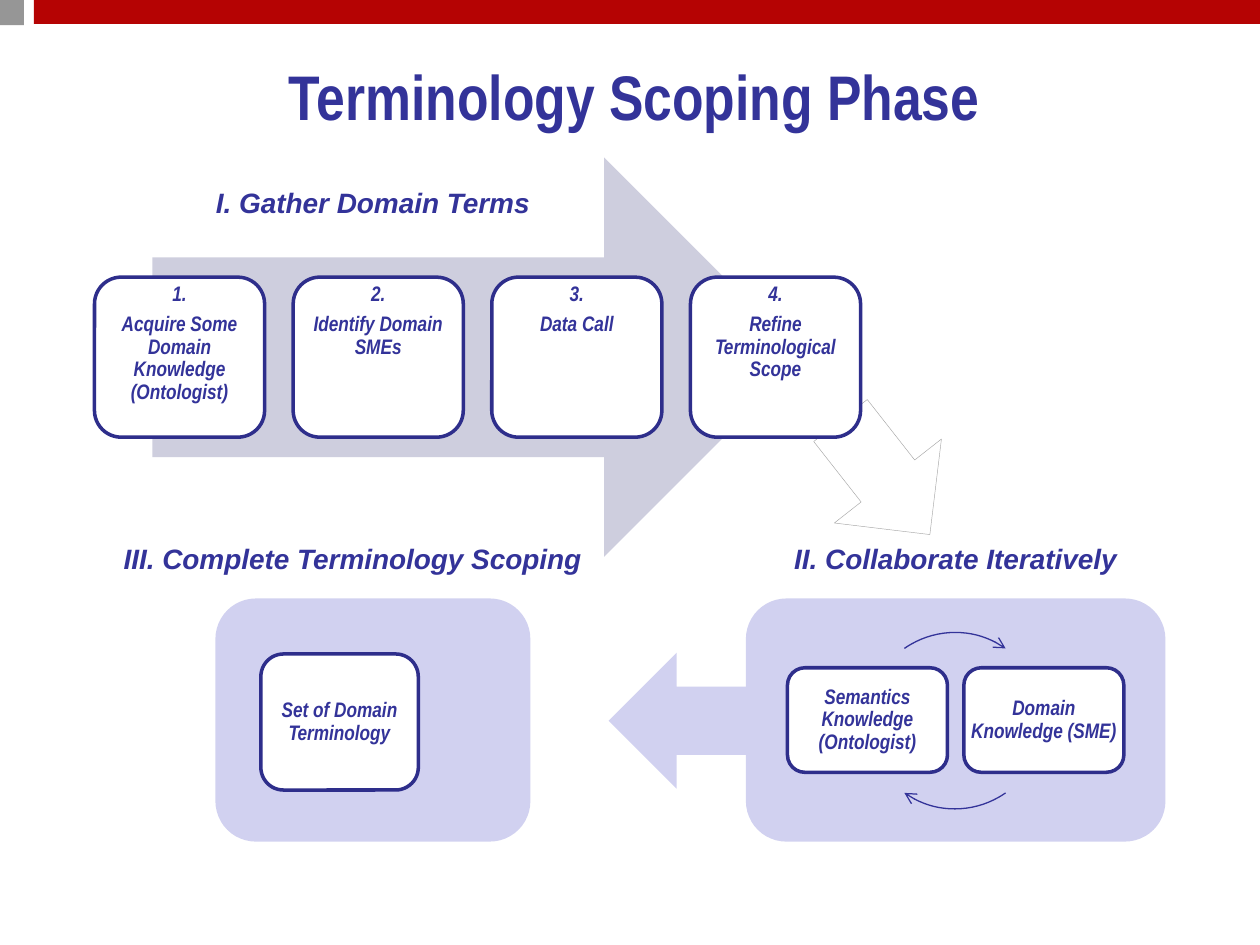
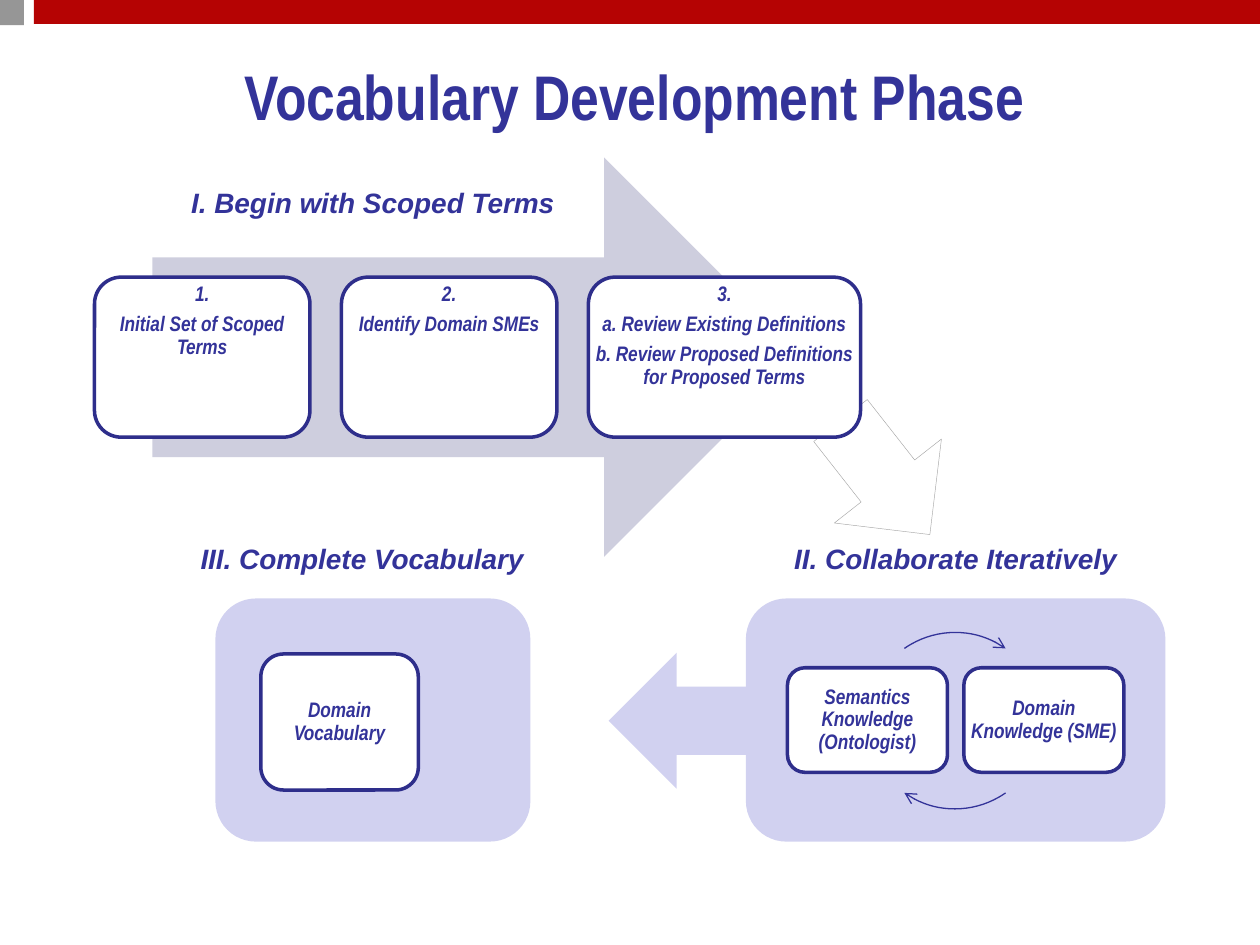
"""Builds two phase slides that share one flow diagram of arrows, panels and boxes."""
from dataclasses import dataclass

from lxml.etree import SubElement
from pptx import Presentation
from pptx.dml.color import RGBColor
from pptx.enum.shapes import MSO_SHAPE
from pptx.enum.text import MSO_ANCHOR, MSO_AUTO_SIZE, PP_ALIGN
from pptx.oxml.ns import qn
from pptx.util import Inches, Pt

COLS, ROWS = 100, 75
WIDTH, HEIGHT = Inches(10), Inches(7.5)
INK, EDGE, WHITE = "333399", "2E2E8B", "FFFFFF"
LAVENDER, MIST, RED, GREY = "D1D1F0", "CECEDE", "B50303", "969696"

TITLE = dict(name="Arial Narrow", size=Pt(36), bold=True, italic=False)
HEADING = dict(name="Arial", size=Pt(16), bold=True, italic=True)
BODY = dict(name="Arial Narrow", size=Pt(12), bold=True, italic=True)
PLAIN_PARA = dict(alignment=PP_ALIGN.CENTER)
BODY_PARA = dict(alignment=PP_ALIGN.CENTER, line_spacing=0.9, space_after=Pt(4.2))
FRAME = dict(word_wrap=True, auto_size=MSO_AUTO_SIZE.NONE)
TIGHT = dict.fromkeys(
    ("margin_left", "margin_top", "margin_right", "margin_bottom"), Inches(0.05))


@dataclass(frozen=True)
class Box:
    """A place on the grid, in columns and rows."""
    col: float
    row: float
    cols: float
    rows: float

    def emu(self) -> tuple[int, int, int, int]:
        """Return left, top, width and height in slide units."""
        return (int(self.col * WIDTH / COLS), int(self.row * HEIGHT / ROWS),
                int(self.cols * WIDTH / COLS), int(self.rows * HEIGHT / ROWS))


@dataclass(frozen=True)
class Block:
    """A filled preset shape, with an optional outline and turn."""
    kind: MSO_SHAPE
    box: Box
    fill: str
    edge: str = ""
    weight: float = 2
    turn: float = 0


@dataclass(frozen=True)
class Step:
    """A numbered box in the first arrow."""
    cols: float
    lines: tuple[str, ...]


@dataclass(frozen=True)
class Phase:
    """The wording that sets one slide apart."""
    title: str
    start: str
    steps: tuple[Step, ...]
    finish: str
    finish_box: Box
    result: str


TITLE_BOX = Box(11.5, 3.3, 77.7, 8.6)
START_BOX = Box(11.7, 14.2, 35.8, 3.7)
COLLABORATE_BOX = Box(59.2, 42.5, 33.3, 3.7)
STEP_ROW = Box(7.5, 22, 60.8, 12.7)
RESULT_BOX = Box(20.7, 51.9, 12.5, 10.8)
CYCLE = Box(68.8, 50.2, 14, 14)
CYCLE_ARCS = ((235, 305), (55, 125))

BANDS = (
    Block(MSO_SHAPE.RECTANGLE, Box(2.7, 0, 97.3, 1.9), RED),
    Block(MSO_SHAPE.RECTANGLE, Box(-0.1, 0, 2, 2), GREY),
)
BACKDROP = (
    Block(MSO_SHAPE.RIGHT_ARROW, Box(64.5, 32.5, 11.5, 10.8), WHITE, "A6A6A6", 0.25, 51.9),
    Block(MSO_SHAPE.RIGHT_ARROW, Box(12.1, 12.5, 51.7, 31.7), MIST),
    Block(MSO_SHAPE.ROUNDED_RECTANGLE, Box(59.2, 47.5, 33.3, 19.3), LAVENDER),
    Block(MSO_SHAPE.RIGHT_ARROW, Box(48.3, 51.8, 11.5, 10.8), LAVENDER, turn=180),
    Block(MSO_SHAPE.ROUNDED_RECTANGLE, Box(17.1, 47.5, 25, 19.3), LAVENDER),
)
PARTNERS = (
    (Box(62.5, 53, 12.7, 8.3), "Semantics Knowledge (Ontologist)"),
    (Box(76.5, 53, 12.7, 8.3), "Domain Knowledge (SME)"),
)
PHASES = (
    Phase(
        "Terminology Scoping Phase",
        "I. Gather Domain Terms",
        (Step(13.5, ("Acquire Some Domain Knowledge (Ontologist)",)),
         Step(13.5, ("Identify Domain SMEs",)),
         Step(13.5, ("Data Call",)),
         Step(13.5, ("Refine Terminological Scope",))),
        "III. Complete Terminology Scoping", Box(8, 42.5, 40, 3.7),
        "Set of Domain Terminology",
    ),
    Phase(
        "Vocabulary Development Phase",
        "I. Begin with Scoped Terms",
        (Step(17.1, ("Initial Set of Scoped Terms",)),
         Step(17.1, ("Identify Domain SMEs",)),
         Step(21.6, ("a. Review Existing Definitions",
                     "b. Review Proposed Definitions for Proposed Terms"))),
        "III. Complete Vocabulary", Box(9.6, 42.5, 38.3, 3.7),
        "Domain Vocabulary",
    ),
)


def rgb(code: str) -> RGBColor:
    """Turn a hex string into a colour."""
    return RGBColor.from_string(code)


def apply(target, values: dict) -> None:
    """Set each attribute named in the dict."""
    for name, value in values.items():
        setattr(target, name, value)


def write(tf, lines, font: dict, para: dict, frame: dict) -> None:
    """Fill a text frame with one formatted paragraph per line."""
    apply(tf, FRAME | frame)
    for i, line in enumerate(lines):
        p = tf.add_paragraph() if i else tf.paragraphs[0]
        apply(p, para)
        r = p.add_run()
        r.text = line
        apply(r.font, font)
        r.font.color.rgb = rgb(INK)


def add_block(s, block: Block):
    """Draw a filled shape."""
    sp = s.shapes.add_shape(block.kind, *block.box.emu())
    sp.shadow.inherit = False
    sp.rotation = block.turn
    sp.fill.solid()
    sp.fill.fore_color.rgb = rgb(block.fill)
    if block.edge:
        sp.line.color.rgb = rgb(block.edge)
        sp.line.width = Pt(block.weight)
    else:
        sp.line.fill.background()
    return sp


def add_heading(s, box: Box, text: str) -> None:
    """Write a section heading."""
    write(s.shapes.add_textbox(*box.emu()).text_frame, [text], HEADING, PLAIN_PARA, {})


def add_card(s, box: Box, lines, anchor=MSO_ANCHOR.MIDDLE) -> None:
    """Draw a white rounded box with its text."""
    add_block(s, Block(MSO_SHAPE.ROUNDED_RECTANGLE, box, WHITE, EDGE))
    tf = s.shapes.add_textbox(*box.emu()).text_frame
    write(tf, lines, BODY, BODY_PARA, TIGHT | dict(vertical_anchor=anchor))


def add_cycle_arc(s, start: float, end: float) -> None:
    """Draw a clockwise arc with an arrowhead, between two angles in degrees."""
    sp = s.shapes.add_shape(MSO_SHAPE.ARC, *CYCLE.emu())
    sp.shadow.inherit = False
    sp.fill.background()
    for i, angle in enumerate((start, end)):
        sp.adjustments[i] = angle * 0.6
    sp.line.color.rgb = rgb(INK)
    sp.line.width = Pt(0.75)
    SubElement(sp.element.spPr.find(qn("a:ln")), qn("a:tailEnd"), type="arrow")


def add_steps(s, steps: tuple[Step, ...]) -> None:
    """Spread the numbered boxes evenly over the step row."""
    gap = (STEP_ROW.cols - sum(step.cols for step in steps)) / (len(steps) - 1)
    col = STEP_ROW.col
    for number, step in enumerate(steps, 1):
        box = Box(col, STEP_ROW.row, step.cols, STEP_ROW.rows)
        add_card(s, box, (f"{number}.", *step.lines), MSO_ANCHOR.TOP)
        col += step.cols + gap


def add_phase(prs, phase: Phase):
    """Build one slide."""
    s = prs.slides.add_slide(prs.slide_layouts[5])
    title = s.shapes.title
    apply(title, dict(zip(("left", "top", "width", "height"), TITLE_BOX.emu())))
    write(title.text_frame, [phase.title], TITLE, PLAIN_PARA,
          dict(vertical_anchor=MSO_ANCHOR.MIDDLE))
    for block in BACKDROP:
        add_block(s, block)
    add_steps(s, phase.steps)
    for box, text in PARTNERS:
        add_card(s, box, [text])
    for start, end in CYCLE_ARCS:
        add_cycle_arc(s, start, end)
    add_card(s, RESULT_BOX, [phase.result])
    add_heading(s, START_BOX, phase.start)
    add_heading(s, COLLABORATE_BOX, "II. Collaborate Iteratively")
    add_heading(s, phase.finish_box, phase.finish)
    return s


def main() -> None:
    """Build and save the presentation."""
    prs = Presentation()
    prs.slide_width, prs.slide_height = WIDTH, HEIGHT
    slides = [add_phase(prs, phase) for phase in PHASES]
    for band in BANDS:
        sp = add_block(slides[0], band)
        prs.slide_master.shapes.element.append(sp.element)
    prs.save("out.pptx")


if __name__ == "__main__":
    main()
